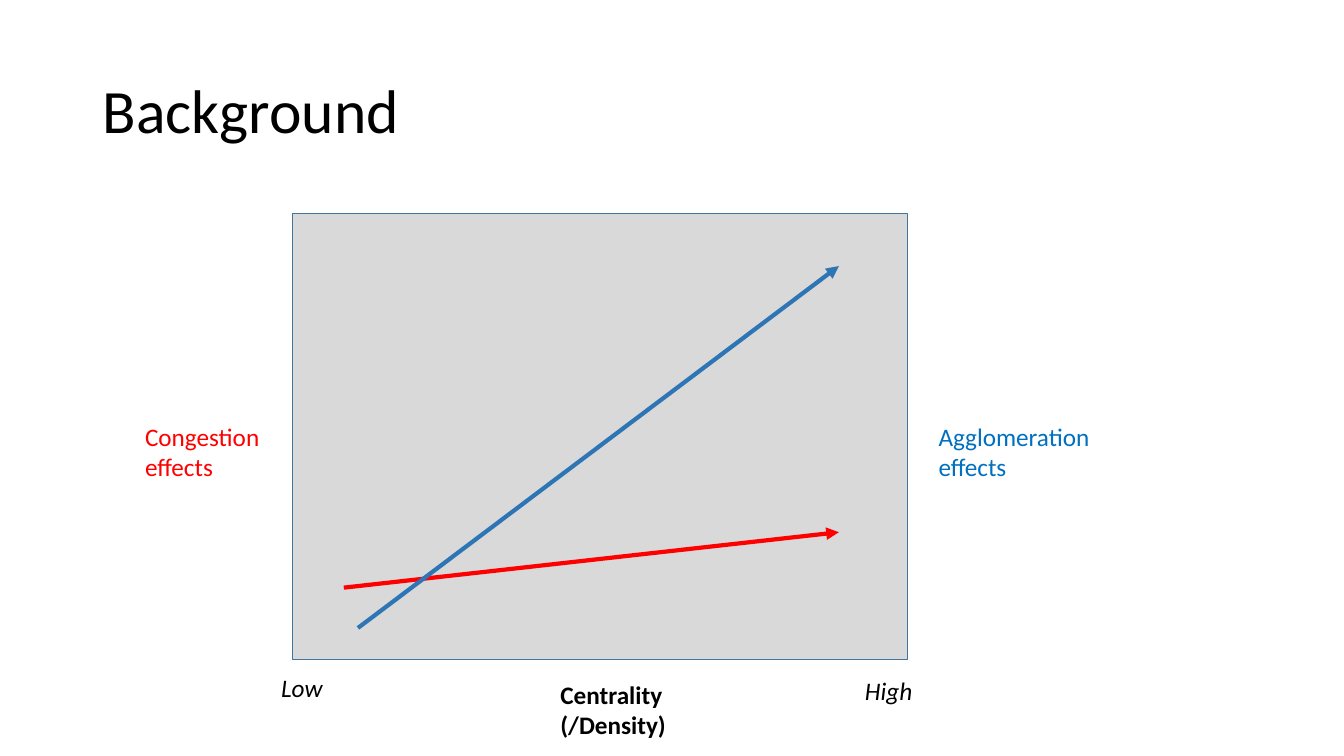
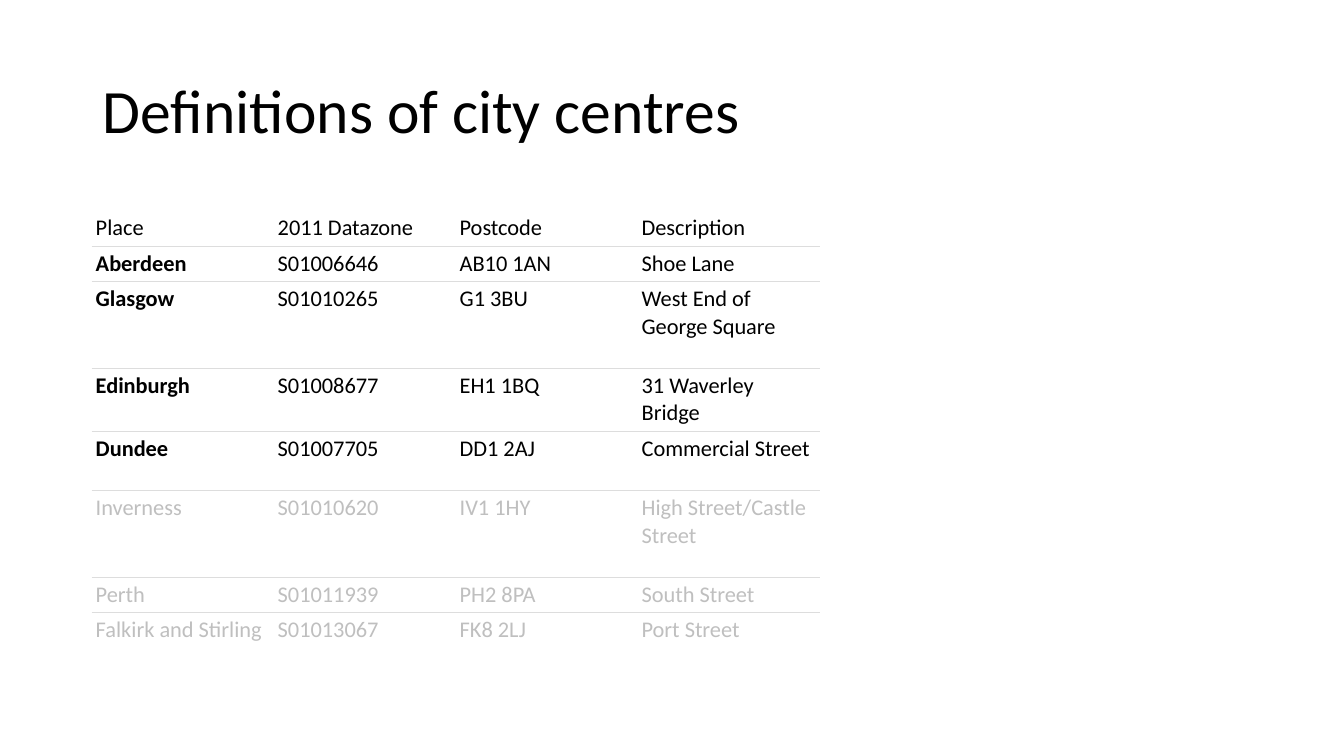
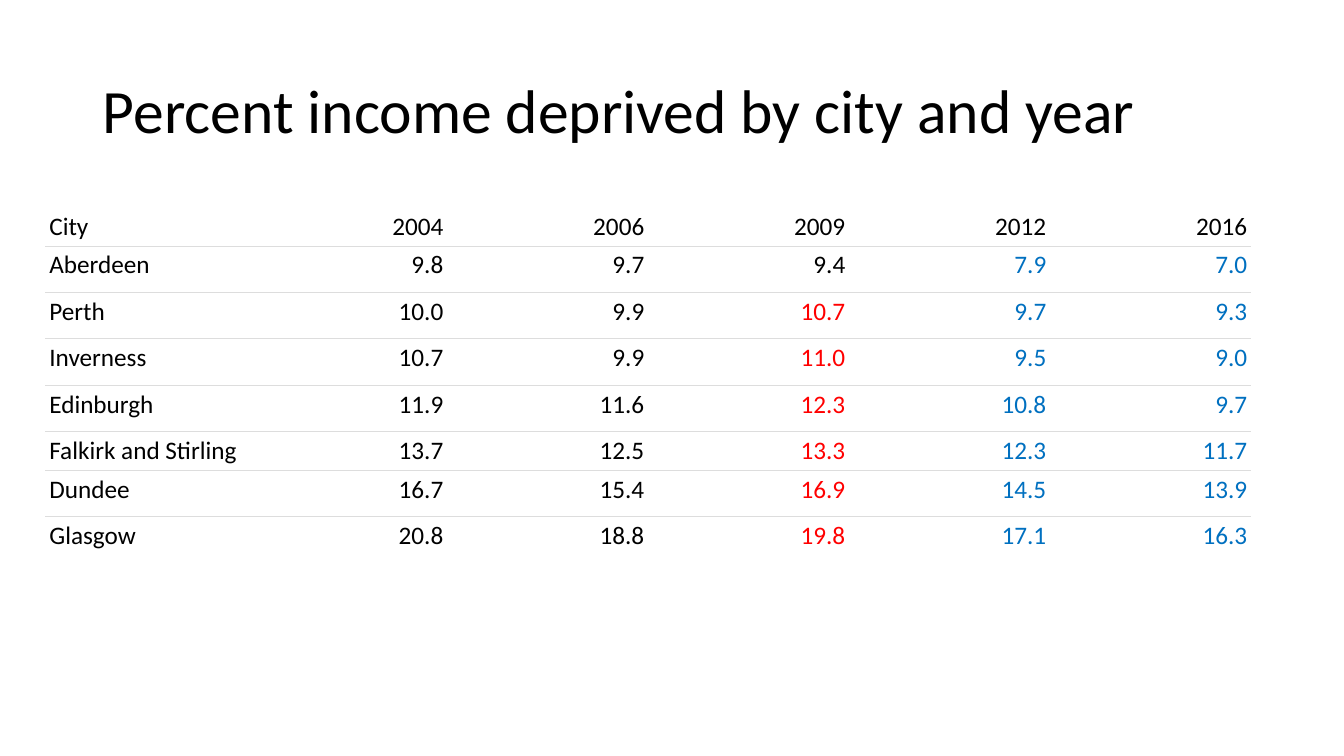
"""Build three slides on city centres, density and income deprivation."""
from dataclasses import dataclass

from lxml.etree import SubElement
from pptx import Presentation
from pptx.dml.color import RGBColor
from pptx.enum.shapes import MSO_CONNECTOR, MSO_SHAPE
from pptx.enum.text import MSO_ANCHOR, MSO_AUTO_SIZE, PP_ALIGN
from pptx.oxml import parse_xml
from pptx.oxml.ns import nsdecls, qn
from pptx.presentation import Presentation as Deck
from pptx.slide import Slide
from pptx.table import _Cell as Cell
from pptx.text.text import TextFrame
from pptx.util import Inches, Pt

FONT = "Calibri"
COLORS = {
    "text": "000000",
    "white": "FFFFFF",
    "muted": "BFBFBF",
    "rule": "DDDDDD",
    "plot": "D9D9D9",
    "plot_edge": "43739E",
    "red": "FF0000",
    "blue": "0070C0",
    "arrow_blue": "2E75B6",
}
PLAIN_TABLE_STYLE = "{2D5ABB26-0587-4C30-8999-92F81FD0307C}"
CELL_MARGIN = Inches(0.04)


@dataclass(frozen=True)
class Label:
    text: str
    left: float
    top: float
    width: float
    height: float
    color: str = "text"
    bold: bool = False
    italic: bool = False


@dataclass(frozen=True)
class Trend:
    start: tuple[float, float]
    end: tuple[float, float]
    color: str


@dataclass(frozen=True)
class Entry:
    text: str
    color: str = "text"
    bold: bool = False
    align: PP_ALIGN = PP_ALIGN.LEFT


@dataclass(frozen=True)
class Grid:
    left: float
    top: float
    width: float
    row_heights: list[float]
    size: int
    rows: list[list[Entry]]
    fill: str | None = None


LABELS = [
    Label("Centrality\v(/Density)", 5.46, 6.69, 1.26, 0.71, bold=True),
    Label("Congestion\neffects", 1.34, 4.13, 1.35, 0.71, "red"),
    Label("Agglomeration\neffects", 9.21, 4.13, 1.72, 0.71, "blue"),
    Label("Low", 2.69, 6.62, 0.62, 0.4, italic=True),
    Label("High", 8.48, 6.65, 0.68, 0.4, italic=True),
]
TRENDS = [
    Trend((3.41, 5.83), (8.32, 5.28), "red"),
    Trend((3.55, 6.23), (8.32, 2.64), "arrow_blue"),
]
CENTRE_HEADER = ["Place", "2011 Datazone", "Postcode", "Description"]
MAIN_CENTRES = [
    ["Aberdeen", "S01006646", "AB10 1AN", "Shoe Lane"],
    ["Glasgow", "S01010265", "G1 3BU", "West End of George Square"],
    ["Edinburgh", "S01008677", "EH1 1BQ", "31 Waverley Bridge"],
    ["Dundee", "S01007705", "DD1 2AJ", "Commercial Street"],
]
OTHER_CENTRES = [
    ["Inverness", "S01010620", "IV1 1HY", "High Street/Castle Street"],
    ["Perth", "S01011939", "PH2 8PA", "South Street"],
    ["Falkirk and Stirling", "S01013067", "FK8 2LJ", "Port Street"],
]
YEARS = [2004, 2006, 2009, 2012, 2016]
DEPRIVED = {
    "Aberdeen": [9.8, 9.7, 9.4, 7.9, 7.0],
    "Perth": [10.0, 9.9, 10.7, 9.7, 9.3],
    "Inverness": [10.7, 9.9, 11.0, 9.5, 9.0],
    "Edinburgh": [11.9, 11.6, 12.3, 10.8, 9.7],
    "Falkirk and Stirling": [13.7, 12.5, 13.3, 12.3, 11.7],
    "Dundee": [16.7, 15.4, 16.9, 14.5, 13.9],
    "Glasgow": [20.8, 18.8, 19.8, 17.1, 16.3],
}


def rgb(name: str) -> RGBColor:
    return RGBColor.from_string(COLORS[name])


def format_text(frame: TextFrame, size: int, color: str = "text",
                bold: bool = False, italic: bool = False) -> None:
    for paragraph in frame.paragraphs:
        for run in paragraph.runs:
            run.font.name = FONT
            run.font.size = Pt(size)
            run.font.bold = bold
            run.font.italic = italic
            run.font.color.rgb = rgb(color)


def add_titled_slide(deck: Deck, heading: str) -> Slide:
    slide = deck.slides.add_slide(deck.slide_layouts[5])
    title = slide.shapes.title
    title.left, title.top = Inches(0.92), Inches(0.4)
    title.width, title.height = Inches(11.5), Inches(1.45)
    frame = title.text_frame
    frame.text = heading
    frame.auto_size = MSO_AUTO_SIZE.NONE
    frame.vertical_anchor = MSO_ANCHOR.MIDDLE
    frame.paragraphs[0].alignment = PP_ALIGN.LEFT
    frame.paragraphs[0].line_spacing = 0.9
    format_text(frame, 44)
    return slide


def add_label(slide: Slide, label: Label) -> None:
    box = slide.shapes.add_textbox(Inches(label.left), Inches(label.top),
                                   Inches(label.width), Inches(label.height))
    frame = box.text_frame
    frame.text = label.text
    frame.word_wrap = False
    frame.auto_size = MSO_AUTO_SIZE.SHAPE_TO_FIT_TEXT
    format_text(frame, 18, label.color, label.bold, label.italic)


def add_trend(slide: Slide, trend: Trend) -> None:
    points = [Inches(value) for value in trend.start + trend.end]
    arrow = slide.shapes.add_connector(MSO_CONNECTOR.STRAIGHT, *points)
    arrow.line.color.rgb = rgb(trend.color)
    arrow.line.width = Pt(3)
    SubElement(arrow.line._get_or_add_ln(), qn("a:tailEnd"), type="triangle")
    SubElement(arrow._element.spPr, qn("a:effectLst"))


def add_plot_area(slide: Slide) -> None:
    plot = slide.shapes.add_shape(MSO_SHAPE.RECTANGLE, Inches(2.9), Inches(2.12),
                                  Inches(6.1), Inches(4.42))
    plot.shadow.inherit = False
    plot.fill.solid()
    plot.fill.fore_color.rgb = rgb("plot")
    plot.line.color.rgb = rgb("plot_edge")
    plot.line.width = Pt(1)


def rule_cell(cell: Cell, edges: list[str]) -> None:
    properties = cell._tc.get_or_add_tcPr()
    for position, edge in enumerate(edges):
        properties.insert(position, parse_xml(
            f'<a:{edge} {nsdecls("a")} w="{Pt(0.6)}"><a:solidFill>'
            f'<a:srgbClr val="{COLORS["rule"]}"/></a:solidFill></a:{edge}>'))


def fill_cell(cell: Cell, entry: Entry, grid: Grid, is_header: bool) -> None:
    cell.margin_left = cell.margin_right = CELL_MARGIN
    cell.margin_top = cell.margin_bottom = CELL_MARGIN
    cell.vertical_anchor = MSO_ANCHOR.BOTTOM if is_header else MSO_ANCHOR.TOP
    if grid.fill:
        cell.fill.solid()
        cell.fill.fore_color.rgb = rgb(grid.fill)
    else:
        cell.fill.background()
    cell.text_frame.text = entry.text
    cell.text_frame.paragraphs[0].alignment = entry.align
    format_text(cell.text_frame, grid.size, entry.color, entry.bold)


def add_grid(slide: Slide, grid: Grid) -> None:
    columns = len(grid.rows[0])
    last = len(grid.rows) - 1
    table = slide.shapes.add_table(
        len(grid.rows), columns, Inches(grid.left), Inches(grid.top),
        Inches(grid.width), Inches(sum(grid.row_heights))).table
    table.first_row = table.horz_banding = False
    table._tbl.tblPr.find(qn("a:tableStyleId")).text = PLAIN_TABLE_STYLE
    for column in table.columns:
        column.width = Inches(grid.width / columns)
    for index, (height, entries) in enumerate(zip(grid.row_heights, grid.rows)):
        table.rows[index].height = Inches(height)
        edges = ["lnT"] * (index > 0) + ["lnB"] * (index < last)
        for cell, entry in zip(table.rows[index].cells, entries):
            fill_cell(cell, entry, grid, index == 0)
            rule_cell(cell, edges)


def centre_rows() -> list[list[Entry]]:
    header = [Entry(text) for text in CENTRE_HEADER]
    main = [[Entry(place, bold=True), *map(Entry, details)]
            for place, *details in MAIN_CENTRES]
    others = [[Entry(text, "muted") for text in centre] for centre in OTHER_CENTRES]
    return [header, *main, *others]


def change_color(year: int, value: float, previous: float) -> str:
    if year > 2009:
        return "blue"
    return "red" if value > previous else "text"


def deprivation_rows() -> list[list[Entry]]:
    rows = [[Entry("City"), *(Entry(str(year), align=PP_ALIGN.RIGHT) for year in YEARS)]]
    for city, values in DEPRIVED.items():
        earlier = values[:1] + values[:-1]
        rows.append([Entry(city)] + [
            Entry(f"{value:.1f}", change_color(year, value, previous), align=PP_ALIGN.RIGHT)
            for year, value, previous in zip(YEARS, values, earlier)])
    return rows


def main() -> None:
    deck = Presentation()
    deck.slide_width, deck.slide_height = Inches(13.33), Inches(7.5)

    background = add_titled_slide(deck, "Background")
    add_plot_area(background)
    for label in LABELS:
        add_label(background, label)
    for trend in TRENDS:
        add_trend(background, trend)

    centres = add_titled_slide(deck, "Definitions of city centres")
    add_grid(centres, Grid(0.91, 1.85, 7.22,
                           [0.59, 0.33, 0.86, 0.59, 0.59, 0.86, 0.33, 0.59],
                           16, centre_rows(), "white"))

    deprivation = add_titled_slide(deck, "Percent income deprived by city and year")
    add_grid(deprivation, Grid(0.45, 1.98, 11.96,
                               [0.46] * 5 + [0.38] + [0.46] * 2,
                               18, deprivation_rows()))
    deck.save("out.pptx")


if __name__ == "__main__":
    main()
